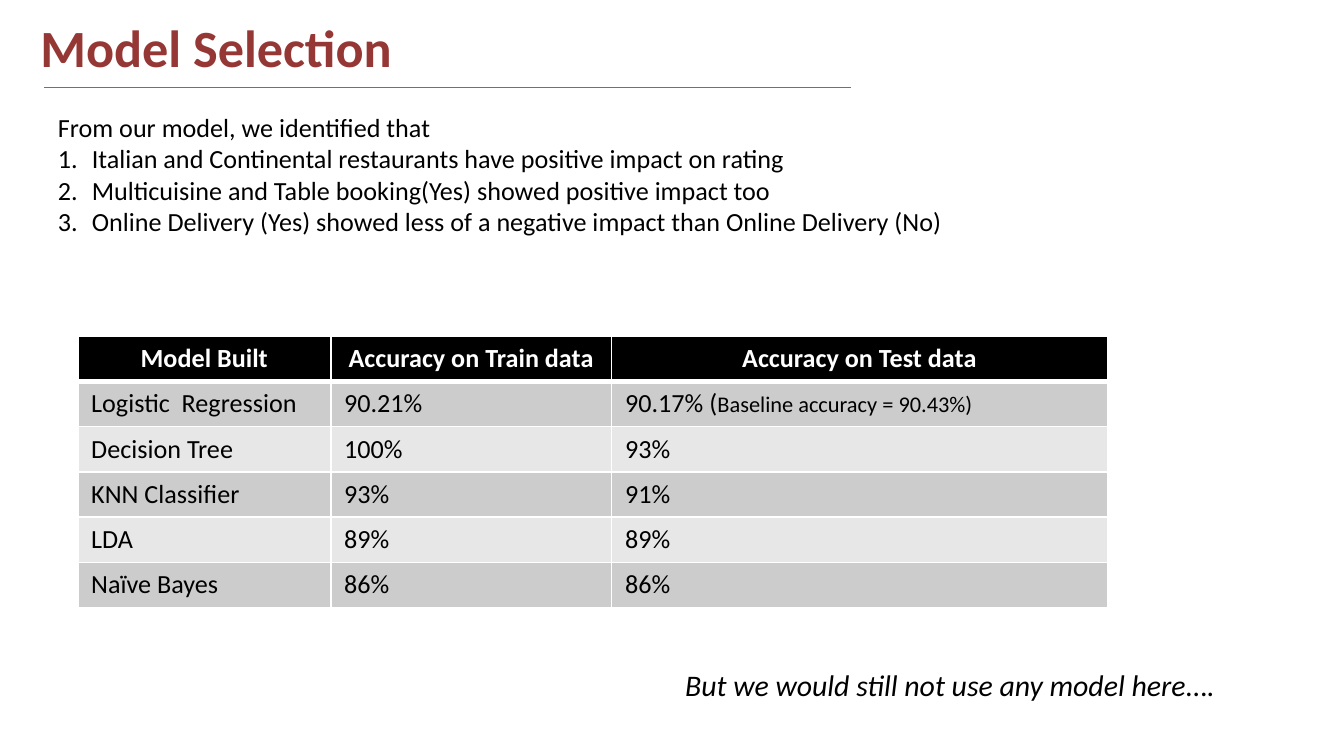
from lxml.etree import SubElement
from pptx import Presentation
from pptx.dml.color import RGBColor
from pptx.enum.shapes import MSO_CONNECTOR
from pptx.enum.text import MSO_ANCHOR, MSO_AUTO_SIZE, PP_ALIGN
from pptx.oxml import parse_xml
from pptx.oxml.ns import nsdecls, qn
from pptx.util import Cm, Pt

FONT = "Calibri"
BLACK, WHITE = "000000", "FFFFFF"
TITLE_RED, RULE_RED = "953735", "C0504D"
BAND_COLORS = ("CCCCCC", "E7E7E7")

FINDINGS = [
    "Italian and Continental restaurants have positive impact on rating",
    "Multicuisine and Table booking(Yes) showed positive impact too",
    "Online Delivery (Yes) showed less of a negative impact than Online Delivery (No)",
]
COLUMN_WIDTHS = (4.78, 5.31, 9.37)
HEADER = ("Model Built", "Accuracy on Train data", "Accuracy on Test data")
BASELINE = "Baseline accuracy = 90.43%)"
RESULTS = [
    ("Logistic  Regression", "90.21%", "90.17% ("),
    ("Decision Tree", "100%", "93%"),
    ("KNN Classifier", "93%", "91%"),
    ("LDA", "89%", "89%"),
    ("Naïve Bayes", "86%", "86%"),
]


def color(value):
    return RGBColor.from_string(value)


def add_text(paragraph, text, size=14, fill=BLACK, bold=False, italic=False, align=PP_ALIGN.LEFT):
    paragraph.alignment = align
    run = paragraph.add_run()
    run.text = text
    font = run.font
    font.name, font.size, font.bold, font.italic = FONT, Pt(size), bold, italic
    font.color.rgb = color(fill)


def place(shape, box):
    shape.left, shape.top, shape.width, shape.height = (Cm(value) for value in box)


def set_numbering(paragraph, numbered):
    indent = Cm(0.64) if numbered else 0
    properties = paragraph._p.get_or_add_pPr()
    properties.set("marL", str(indent))
    properties.set("indent", str(-indent))
    if numbered:
        SubElement(properties, qn("a:buFont"), typeface="+mj-lt")
        SubElement(properties, qn("a:buAutoNum"), type="arabicPeriod")
    else:
        SubElement(properties, qn("a:buNone"))


def set_borders(cell, widths):
    properties = cell._tc.get_or_add_tcPr()
    for position, (side, width) in enumerate(widths.items()):
        properties.insert(position, parse_xml(
            f'<a:ln{side} {nsdecls("a")} w="{Pt(width)}"><a:solidFill>'
            f'<a:srgbClr val="{WHITE}"/></a:solidFill></a:ln{side}>'))


def add_heading(slide, box):
    title = slide.shapes.title
    place(title, box)
    frame = title.text_frame
    frame.vertical_anchor = MSO_ANCHOR.MIDDLE
    frame.auto_size = MSO_AUTO_SIZE.NONE
    add_text(frame.paragraphs[0], "Model Selection", size=28, fill=TITLE_RED, bold=True)

    # Rule under the title
    left, top, _, height = box
    rule_left, rule_top = left + 0.33, top + height + 0.13
    rule = slide.shapes.add_connector(
        MSO_CONNECTOR.STRAIGHT, Cm(rule_left), Cm(rule_top), Cm(rule_left + 15.24), Cm(rule_top))
    rule.line.color.rgb = color(RULE_RED)
    rule.line.width = Pt(0.75)
    SubElement(rule._element.spPr, qn("a:effectLst"))


def add_findings(slide, box):
    body = slide.placeholders[1]
    place(body, box)
    frame = body.text_frame
    frame.auto_size = MSO_AUTO_SIZE.NONE
    for index, text in enumerate(["From our model, we identified that", *FINDINGS]):
        paragraph = frame.add_paragraph() if index else frame.paragraphs[0]
        paragraph.space_before = Pt(0)
        set_numbering(paragraph, numbered=index > 0)
        add_text(paragraph, text)


def add_results_table(slide, box):
    rows = [HEADER, *RESULTS]
    table = slide.shapes.add_table(
        len(rows), len(HEADER), *(Cm(value) for value in box)).table
    for column, width in zip(table.columns, COLUMN_WIDTHS):
        column.width = Cm(width)
    for row_index, values in enumerate(rows):
        is_header = row_index == 0
        table.rows[row_index].height = Cm(box[3] / len(rows))
        for cell, text in zip(table.rows[row_index].cells, values):
            cell.fill.solid()
            cell.fill.fore_color.rgb = color(BLACK if is_header else BAND_COLORS[(row_index - 1) % 2])
            set_borders(cell, {"L": 1, "R": 1, "T": 3 if row_index == 1 else 1,
                               "B": 3 if is_header else 1})
            add_text(cell.text_frame.paragraphs[0], text, bold=is_header,
                     fill=WHITE if is_header else BLACK,
                     align=PP_ALIGN.CENTER if is_header else PP_ALIGN.LEFT)
    # Smaller remark after the logistic regression score
    add_text(table.cell(1, 2).text_frame.paragraphs[0], BASELINE, size=12)


def add_closing_note(slide, box):
    note = slide.shapes.add_textbox(*(Cm(value) for value in box))
    note.text_frame.word_wrap = True
    paragraph = note.text_frame.paragraphs[0]
    add_text(paragraph, "But we would still not use any model here", size=16, italic=True)
    add_text(paragraph, "….", size=16)


def main():
    presentation = Presentation()
    presentation.slide_width, presentation.slide_height = Cm(25.4), Cm(14.29)
    slide = presentation.slides.add_slide(presentation.slide_layouts[1])
    add_heading(slide, (0.51, 0.25, 24.13, 1.27))
    add_findings(slide, (0.84, 1.98, 22.86, 2.64))
    add_results_table(slide, (1.47, 6.35, sum(COLUMN_WIDTHS), 5.12))
    add_closing_note(slide, (12.7, 12.47, 12.5, 0.94))
    presentation.save("out.pptx")


if __name__ == "__main__":
    main()
